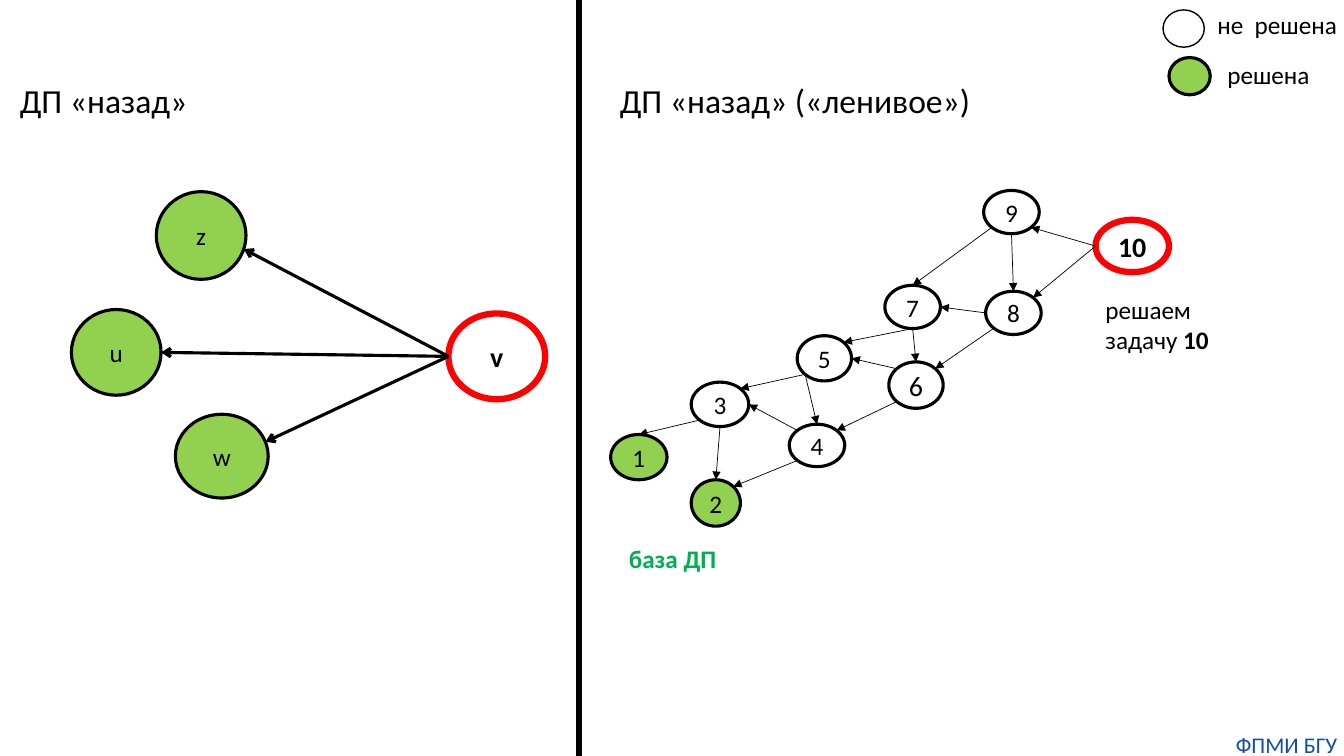
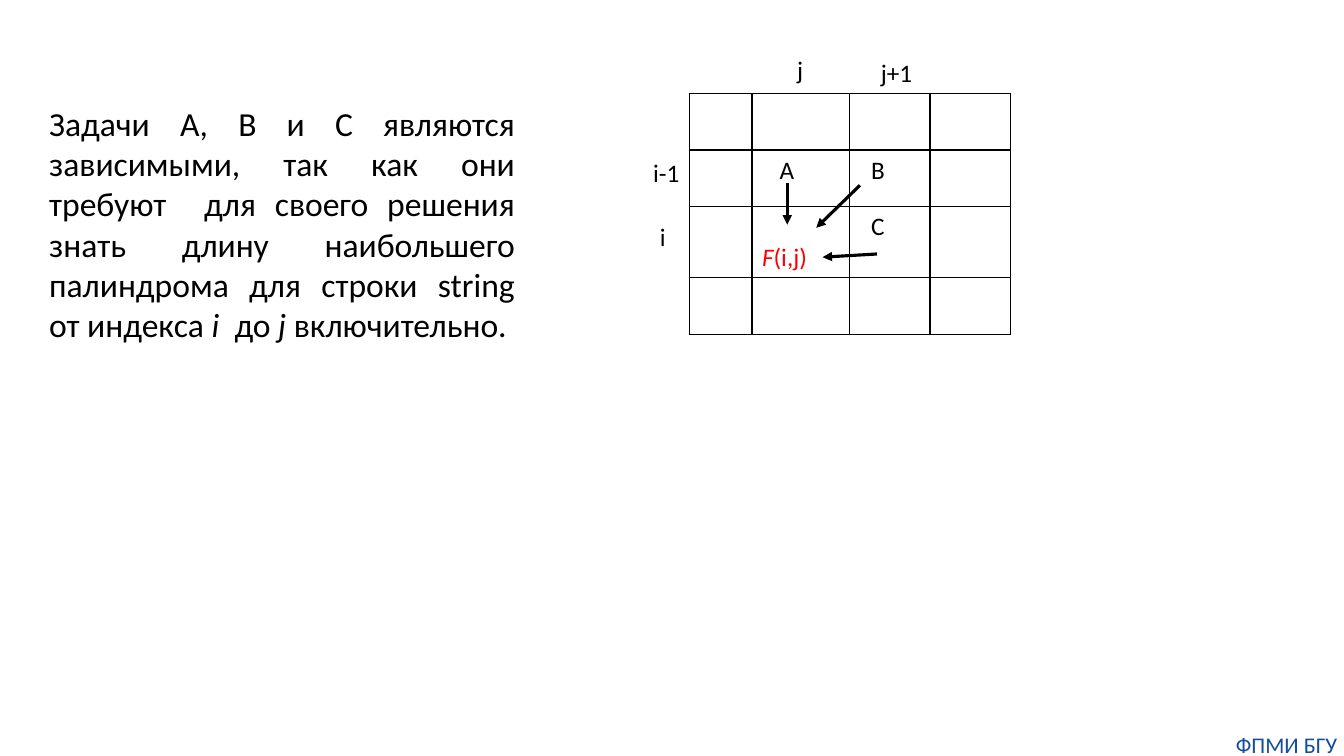
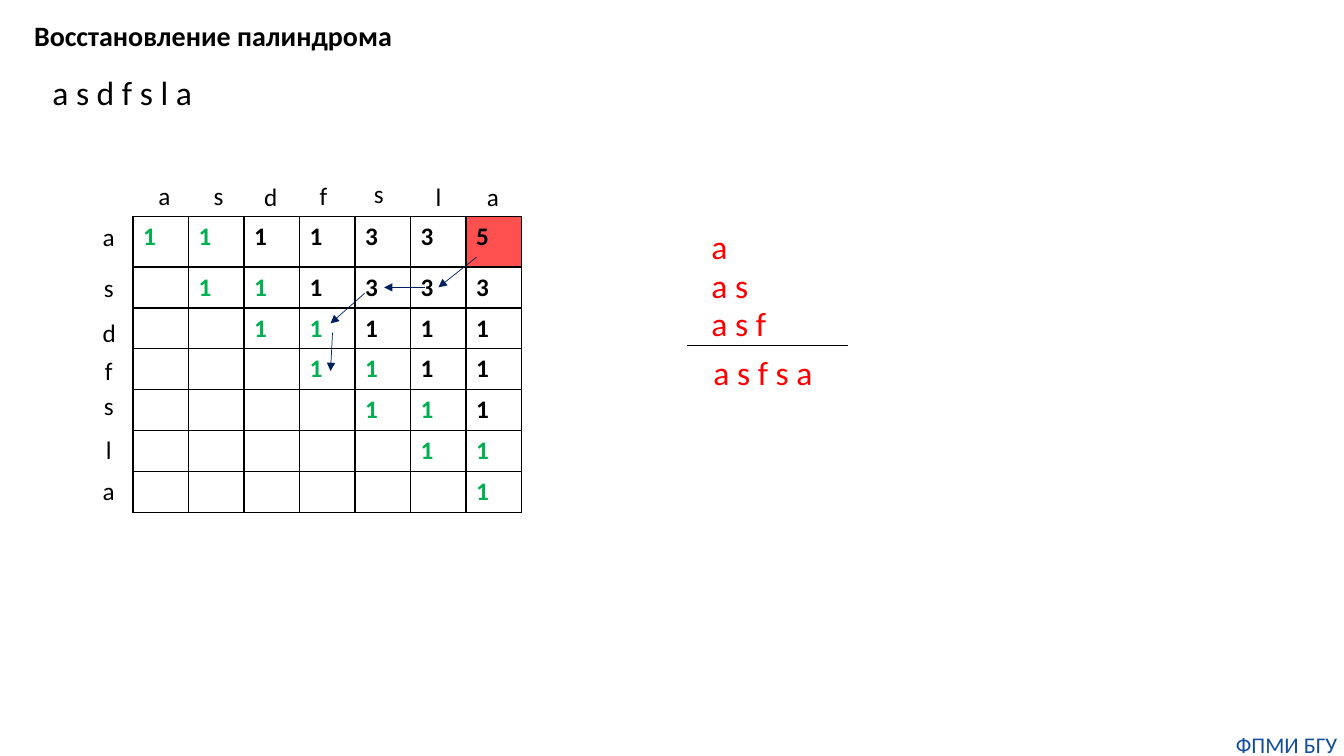
"""Build three slides on dynamic programming: task graphs, dependencies and palindrome recovery."""
from math import cos, radians, sin

from lxml.etree import SubElement
from pptx import Presentation
from pptx.dml.color import RGBColor
from pptx.enum.shapes import MSO_CONNECTOR, MSO_SHAPE
from pptx.enum.text import MSO_ANCHOR, PP_ALIGN
from pptx.oxml.ns import qn
from pptx.util import Cm, Pt

BLACK = RGBColor(0x00, 0x00, 0x00)
WHITE = RGBColor(0xFF, 0xFF, 0xFF)
RED = RGBColor(0xFF, 0x00, 0x00)
CORAL = RGBColor(0xFF, 0x50, 0x50)
LIME = RGBColor(0x92, 0xD0, 0x50)
GREEN = RGBColor(0x00, 0xB0, 0x50)
NAVY = RGBColor(0x00, 0x20, 0x60)
BLUE = RGBColor(0x14, 0x4E, 0x9D)
FONT = "Calibri"
LINE_H = 1.02
HEAD_H = 1.27
FOOTER = "ФПМИ БГУ"

E, SE, S, SW, W, NW, N, NE = range(0, 360, 45)
NODES = {
    "1": (15.39, 10.95, 1.42, 1.14), "2": (17.42, 12.09, 1.24, 1.17),
    "3": (17.42, 9.63, 1.45, 1.12), "4": (19.89, 10.69, 1.4, 1.07),
    "5": (20.09, 8.46, 1.37, 1.14), "6": (22.4, 9.12, 1.37, 1.17),
    "7": (22.3, 7.19, 1.4, 1.09), "8": (24.84, 7.34, 1.4, 1.09),
    "9": (24.79, 4.8, 1.4, 1.09), "10": (27.61, 5.54, 1.85, 1.32),
    "w": (4.42, 10.44, 2.34, 2.11), "u": (1.8, 7.8, 2.26, 2.16),
    "z": (3.94, 4.83, 2.26, 2.21), "v": (11.3, 7.9, 2.44, 2.16),
}
SOLVED = {"1", "2", "w", "u", "z"}
CURRENT = {"10", "v"}
LAZY_EDGES = [
    ("10", W, "8", NE), ("10", W, "9", SE), ("9", S, "8", N), ("9", SW, "7", N),
    ("8", SW, "6", NE), ("8", W, "7", E), ("7", S, "5", NE), ("7", S, "6", N),
    ("6", SW, "4", NE), ("6", NW, "5", E), ("5", SW, "3", NE), ("5", SW, "4", N),
    ("4", SW, "2", NE), ("4", NW, "3", E), ("3", SW, "1", N), ("3", S, "2", N),
]
BACK_EDGES = [("v", W, "z", 18), ("v", W, "u", E), ("v", W, "w", -20)]
HEADINGS = [("ДП «назад»", 0.25, 4.9), ("ДП «назад» («ленивое»)", 15.37, 9.7)]
LEGEND = [("не  решена", (30.43, 0.1, 3.53), (29.31, 0.25), None, 1),
          ("решена", (30.68, 1.37, 3.07), (29.46, 1.45), LIME, 2.25)]

DEPENDENCE = ["Задачи A, B и C являются зависимыми, так как они требуют  для своего "
              "решения знать длину наибольшего палиндрома для строки string "
              "от\u00a0индекса ",
              ("i", "i"), "  до ", ("j ", "i"), "включительно."]
TASK_COLS = [1.58, 2.46, 2.03, 2.03]
TASK_ROWS = [1.42, 1.42, 1.8, 1.42]
TASKS = {(1, 1): ("A", 0.7), (1, 2): ("B", 0.54), (2, 2): ("C", 0.54)}
TASK_ARROWS = [(21.67, 4.67, 20.57, 5.74), (22.1, 6.4, 20.73, 6.48),
               (19.84, 4.6, 19.84, 5.66)]
INDICES = [("j", 19.84, 1.24, 0.66), ("j+1", 21.95, 1.32, 1.32),
           ("i", 16.38, 5.46, 0.66), ("i-1", 16.21, 3.84, 1.17)]

WORD = "asdfsla"
LENGTHS = ["1111335", "111333", "11111", "1111", "111", "11", "1"]
COLUMN_MARKS = [(4.14, 4.42), (5.51, 4.42), (6.81, 4.45), (8.15, 4.42),
                (9.55, 4.37), (11.05, 4.45), (12.42, 4.45)]
ROW_MARKS = [(2.74, y) for y in (5.46, 6.73, 7.87, 8.84, 9.7, 10.82, 11.86)]
TRACE = [(12.01, 6.48, 11.05, 7.24), (10.72, 7.24, 9.68, 7.24),
         (9.19, 7.39, 8.33, 8.15), (8.38, 8.38, 8.33, 9.35)]
PREFIXES = [("a", 0.91), ("a s", 1.45), ("a s f", 1.9)]


def write(tf, *runs, size=18, color=BLACK, bold=False, align=PP_ALIGN.LEFT):
    p = tf.paragraphs[0]
    p.alignment = align
    for run in runs:
        text, style = (run, "") if isinstance(run, str) else run
        r = p.add_run()
        r.text = text
        f = r.font
        f.name, f.size, f.color.rgb = FONT, Pt(size), color
        f.bold, f.italic = bold or "b" in style, "i" in style


def label(s, box, *runs, wrap=False, inset=True, **fmt):
    tf = s.shapes.add_textbox(*map(Cm, box)).text_frame
    tf.word_wrap = wrap
    if not inset:
        tf.margin_left = tf.margin_right = tf.margin_top = tf.margin_bottom = 0
    write(tf, *runs, **fmt)


def line(s, points, color=BLACK, width=0.5, tail=None):
    c = s.shapes.add_connector(MSO_CONNECTOR.STRAIGHT, *map(Cm, points))
    c.line.color.rgb, c.line.width = color, Pt(width)
    if tail:
        SubElement(c.line._get_or_add_ln(), qn("a:tailEnd"), type=tail)
    SubElement(c._element.spPr, qn("a:effectLst"))


def ellipse(s, box, fill=None, color=BLACK, width=2.25):
    sp = s.shapes.add_shape(MSO_SHAPE.OVAL, *map(Cm, box))
    sp.shadow.inherit = False
    if fill is None:
        sp.fill.background()
    else:
        sp.fill.solid()
        sp.fill.fore_color.rgb = fill
    sp.line.color.rgb, sp.line.width = color, Pt(width)
    return sp


def node(s, name):
    current = name in CURRENT
    sp = ellipse(s, NODES[name], LIME if name in SOLVED else None,
                 RED if current else BLACK, 4.5 if current else 2.25)
    tf = sp.text_frame
    tf.margin_left = tf.margin_right = 0
    tf.vertical_anchor = MSO_ANCHOR.MIDDLE
    write(tf, name, size=20 if current or name == "6" else 18, bold=current,
          align=PP_ALIGN.CENTER)


def rim(name, angle):
    x, y, w, h = NODES[name]
    a = radians(angle)
    return x + w / 2 * (1 + cos(a)), y + h / 2 * (1 + sin(a))


def edges(s, links, **fmt):
    for start, out, end, into in links:
        line(s, rim(start, out) + rim(end, into), **fmt)


def grid(s, x, y, cols, rows):
    t = s.shapes.add_table(len(rows), len(cols), Cm(x), Cm(y),
                           Cm(sum(cols)), Cm(sum(rows))).table
    t.first_row = t.horz_banding = False
    for col, w in zip(t.columns, cols):
        col.width = Cm(w)
    for row, h in zip(t.rows, rows):
        row.height = Cm(h)
    for cell in t.iter_cells():
        tcPr = cell._tc.get_or_add_tcPr()
        for side in ("lnL", "lnR", "lnT", "lnB"):
            ln = SubElement(tcPr, qn("a:" + side), w=str(Pt(1)))
            fill = SubElement(ln, qn("a:solidFill"))
            SubElement(fill, qn("a:srgbClr"), val=str(BLACK))
        cell.fill.solid()
        cell.fill.fore_color.rgb = WHITE
    return t


def new_slide(prs):
    s = prs.slides.add_slide(prs.slide_layouts[6])
    label(s, (30.99, 18.42, 2.87, 0.69), FOOTER, inset=False,
          size=16, color=BLUE, align=PP_ALIGN.CENTER)
    return s


def graph_slide(prs):
    s = new_slide(prs)
    line(s, (14.6, 0, 14.6, 19.05), width=4.5)
    for text, x, w in HEADINGS:
        label(s, (x, 1.88, w, HEAD_H), text, size=24)
    for text, box, spot, fill, width in LEGEND:
        label(s, box + (LINE_H,), text)
        ellipse(s, spot + (1.04, 0.94), fill, width=width)
    for name in NODES:
        node(s, name)
    edges(s, LAZY_EDGES, tail="triangle")
    edges(s, BACK_EDGES, width=2.25, tail="arrow")
    label(s, (27.61, 7.29, 3.25, 1.83), "решаем задачу", (" 10", "b"), wrap=True)
    label(s, (15.6, 13.56, 3.2, LINE_H), "база ДП", color=GREEN, bold=True)


def dependence_slide(prs):
    s = new_slide(prs)
    t = grid(s, 17.37, 2.36, TASK_COLS, TASK_ROWS)
    for (row, col), (text, indent) in TASKS.items():
        cell = t.cell(row, col)
        cell.margin_left = Cm(indent)
        write(cell.text_frame, text)
    target = t.cell(2, 1)
    target.vertical_anchor = MSO_ANCHOR.BOTTOM
    write(target.text_frame, ("F", "i"), "(i,j)", color=RED)
    label(s, (0.99, 2.46, 12.24, 6.4), *DEPENDENCE, wrap=True, size=24,
          align=PP_ALIGN.JUSTIFY)
    for points in TASK_ARROWS:
        line(s, points, width=2.25, tail="triangle")
    for text, x, y, w in INDICES:
        label(s, (x, y, w, LINE_H), text)


def palindrome_slide(prs):
    s = new_slide(prs)
    label(s, (0.61, 0.33, 9.6, 1.12), "Восстановление палиндрома", size=20, bold=True)
    label(s, (1.07, 1.7, 4.1, HEAD_H), " ".join(WORD), size=24)
    n = len(WORD)
    t = grid(s, 3.35, 5.46, [1.4] * n, [1.27] + [1.03] * (n - 1))
    for i, values in enumerate(LENGTHS):
        for k, value in enumerate(values):
            write(t.cell(i, i + k).text_frame, value, bold=True,
                  color=GREEN if k < 2 else BLACK)
    t.cell(0, n - 1).fill.fore_color.rgb = CORAL
    for marks in (COLUMN_MARKS, ROW_MARKS):
        for letter, (x, y) in zip(WORD, marks):
            label(s, (x - 0.4, y, 0.8, LINE_H), letter, align=PP_ALIGN.CENTER)
    for points in TRACE:
        line(s, points, color=NAVY, tail="triangle")
    for i, (text, w) in enumerate(PREFIXES):
        label(s, (17.68, 5.56 + 0.98 * i, w, HEAD_H), text, size=24, color=RED)
    line(s, (17.32, 8.71, 21.36, 8.71))
    label(s, (17.73, 8.74, 3.1, HEAD_H), "a s f s a", size=24, color=RED)


prs = Presentation()
prs.slide_width, prs.slide_height = Cm(33.87), Cm(19.05)
graph_slide(prs)
dependence_slide(prs)
palindrome_slide(prs)
prs.save("out.pptx")
